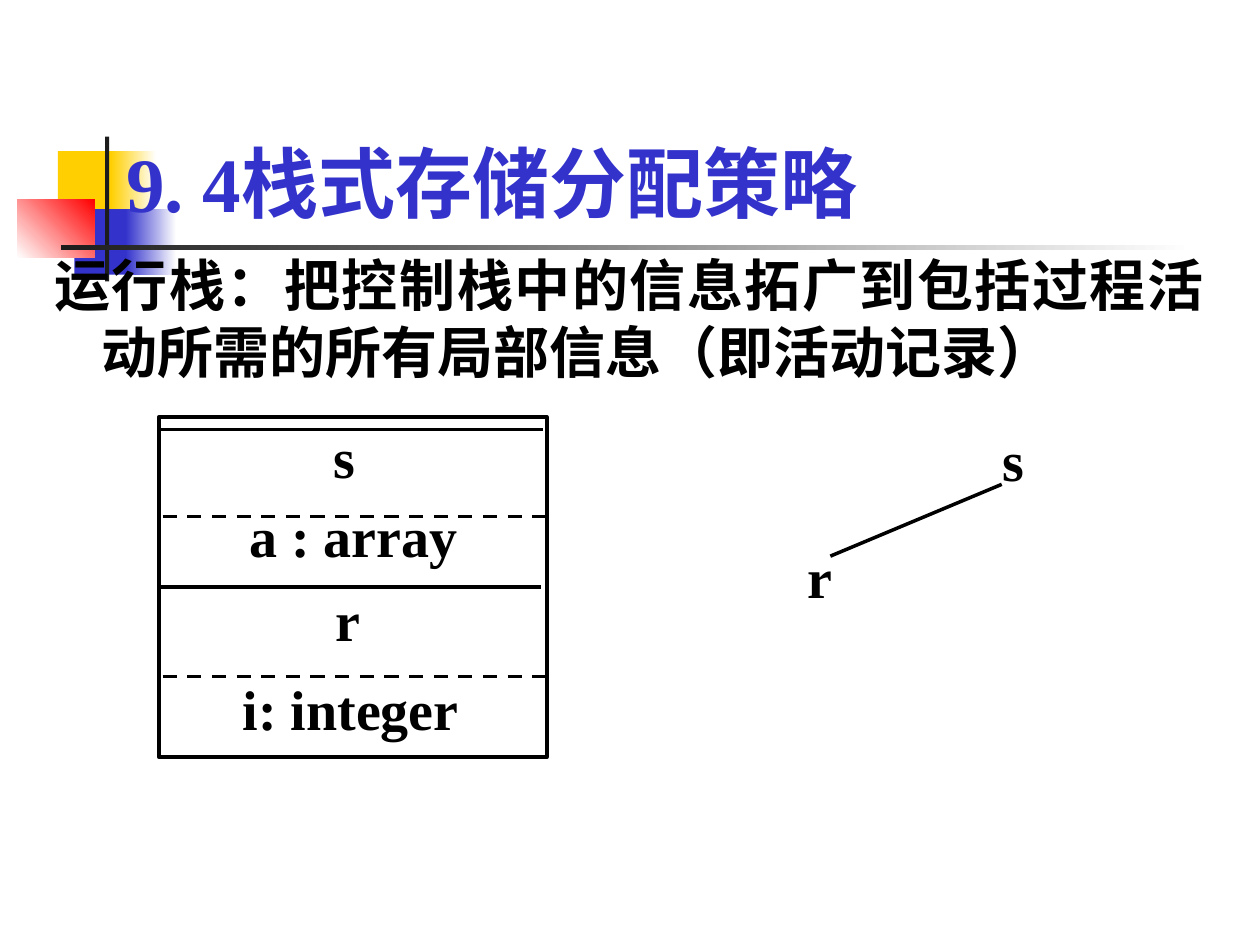
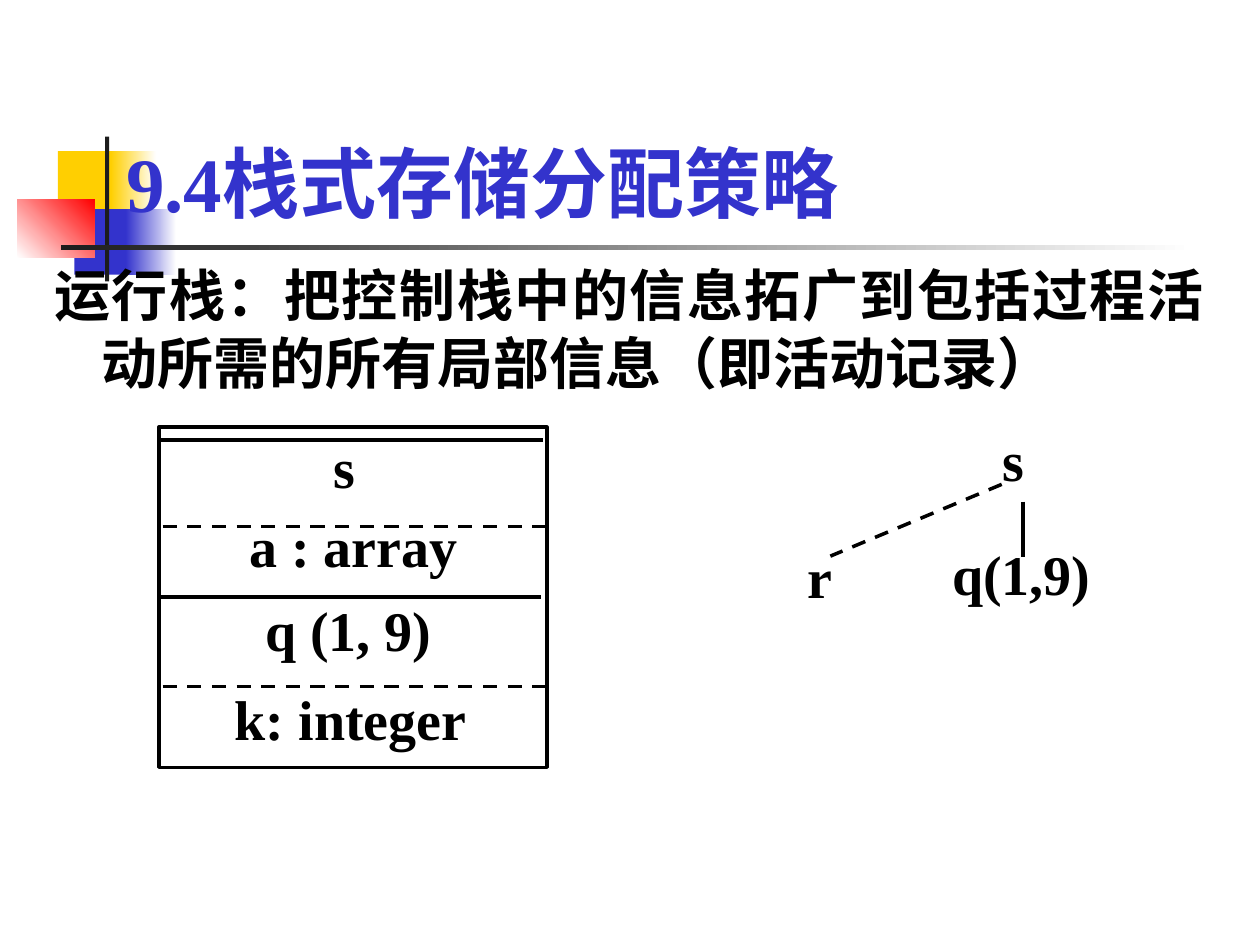
from lxml import etree
from pptx import Presentation
from pptx.dml import color
from pptx.enum import dml, lang, shapes, text
from pptx.oxml import ns
from pptx.util import Pt

BLUE, GOLD, RED = "3333CC", "FFCF01", "FF0000"
DARK, BLACK, WHITE = "1C1C1C", "000000", "FFFFFF"
LEFT, MID = text.PP_ALIGN.LEFT, text.PP_ALIGN.CENTER
FONT = {"name": "Times New Roman", "bold": True,
        "language_id": lang.MSO_LANGUAGE_ID.SIMPLIFIED_CHINESE}


def paint(fill, *tones, angle=0):
    """Give a fill no colour, one colour, or a two-colour gradient."""
    if not tones:
        fill.background()
    elif len(tones) == 1:
        fill.solid()
        fill.fore_color.rgb = color.RGBColor.from_string(tones[0])
    else:
        fill.gradient()
        fill.gradient_angle = angle
        for stop, tone in zip(fill.gradient_stops, tones):
            stop.color.rgb = color.RGBColor.from_string(tone)


def write(shape, words, box, size=32, tone=BLACK, align=LEFT, **frame):
    """Place a text shape and fill it with one styled paragraph."""
    for key, value in zip(("left", "top", "width", "height"), box):
        setattr(shape, key, Pt(value))
    body = shape.text_frame
    look = {"word_wrap": True, "auto_size": text.MSO_AUTO_SIZE.NONE, **frame}
    for key, value in look.items():
        setattr(body, key, value)
    para = body.paragraphs[0]
    para.alignment = align
    run = para.add_run()
    run.text = words
    for key, value in {**FONT, "size": Pt(size)}.items():
        setattr(run.font, key, value)
    paint(run.font.fill, tone)
    return para


deck = Presentation()
deck.slide_width, deck.slide_height = Pt(720), Pt(540)
plan = deck.slide_layouts[1]

# Corner blocks and rules: box, colours, gradient angle
DECOR = [
    ((33.1, 86.4, 34.6, 37.4), (GOLD,), 0),
    ((63.4, 86.4, 25.9, 37.4), (GOLD, WHITE), 0),
    ((42.5, 119.5, 33.1, 37.4), (BLUE,), 0),
    ((72, 119.5, 28.8, 37.4), (BLUE, WHITE), 0),
    ((10, 113.8, 44, 33.5), (WHITE, RED), 45),
    ((60, 78, 2.4, 82.8), (DARK,), 0),
    ((34.6, 140.2, 648, 2.6), (DARK, WHITE), 0),
]

# Stack rows: text left, text top below the frame top
ROWS = [(91.4, -3.6), (96.5, 41.8), (93.6, 90), (95, 140.4)]
# Stack rules: from x, to x, drop below the frame top, dashed
RULES = [(90, 310.3, 7.2, False), (92.9, 311.8, 56.9, True),
         (90, 308.9, 97.2, False), (92.9, 311.8, 148.3, True)]

ROOT = ("s", (566, 239.8, 52, 48))
LEAF = ("r", (454.3, 306.7, 52, 48))
EDGE = (572.4, 276.8, 474.5, 317.8)
INTRO = "运行栈：把控制栈中的信息拓广到包括过程活动所需的所有局部信息（即活动记录）"

# Title, shift down, stack rows, tree nodes, tree edges with dash flag
PAGES = [
    ("9. 4栈式存储分配策略", 0, ["s", "a : array", "r", "i: integer"],
     [ROOT, LEAF], [(*EDGE, False)]),
    ("9.4栈式存储分配策略", 5.8, ["s", "a : array", "q (1, 9)", "k: integer"],
     [ROOT, ("q(1,9)", (537, 304.6, 101.5, 56)), LEAF],
     [(584.6, 286.6, 584.6, 318.2, False), (*EDGE, True)]),
]

for head, shift, cells, nodes, edges in PAGES:
    slide = deck.slides.add_slide(plan)

    # The shared decor is drawn once and moved to the layout
    if shift == 0:
        for box, tones, angle in DECOR:
            block = slide.shapes.add_shape(
                shapes.MSO_SHAPE.RECTANGLE, *map(Pt, box))
            block.shadow.inherit = False
            paint(block.fill, *tones, angle=angle)
            paint(block.line.fill)
            plan.shapes._spTree.append(block._element)

    write(slide.shapes.title, head, (64.8, 43.9, 600, 90), 44, BLUE,
          vertical_anchor=text.MSO_ANCHOR.BOTTOM)
    para = write(slide.placeholders[1], INTRO,
                 (23.8, 139.7 + shift, 671.8, 400.3 - shift),
                 align=text.PP_ALIGN.JUSTIFY)
    para.space_before = Pt(8)
    props = para._p.get_or_add_pPr()
    props.set("marL", str(Pt(27)))
    props.set("indent", str(Pt(-27)))
    etree.SubElement(props, ns.qn("a:buNone"))

    # Run-time stack
    top = 238.3 + shift
    stack = slide.shapes.add_group_shape().shapes
    frame = stack.add_shape(shapes.MSO_SHAPE.RECTANGLE,
                            *map(Pt, (90.7, top, 221.8, 194.4)))
    frame.shadow.inherit = False
    paint(frame.fill)
    paint(frame.line.fill, BLACK)
    frame.line.width = Pt(2)
    for words, (left, drop) in zip(cells, ROWS):
        write(stack.add_textbox(0, 0, 0, 0), words,
              (left, top + drop, 211, 55.4), align=MID, margin_top=Pt(6.5))

    # Call tree
    tree = slide.shapes.add_group_shape().shapes
    for words, box in nodes:
        write(tree.add_textbox(0, 0, 0, 0), words, box)

    # Stack rules and tree edges share one line style
    lines = [(stack, x, top + drop, end, top + drop, dash)
             for x, end, drop, dash in RULES]
    lines += [(tree, *edge) for edge in edges]
    for group, *ends, dash in lines:
        line = group.add_connector(shapes.MSO_CONNECTOR.STRAIGHT,
                                   *map(Pt, ends))
        paint(line.line.fill, BLACK)
        line.line.width = Pt(2)
        if dash:
            line.line.dash_style = dml.MSO_LINE.DASH
        etree.SubElement(line._element.spPr, ns.qn("a:effectLst"))

deck.save("out.pptx")
